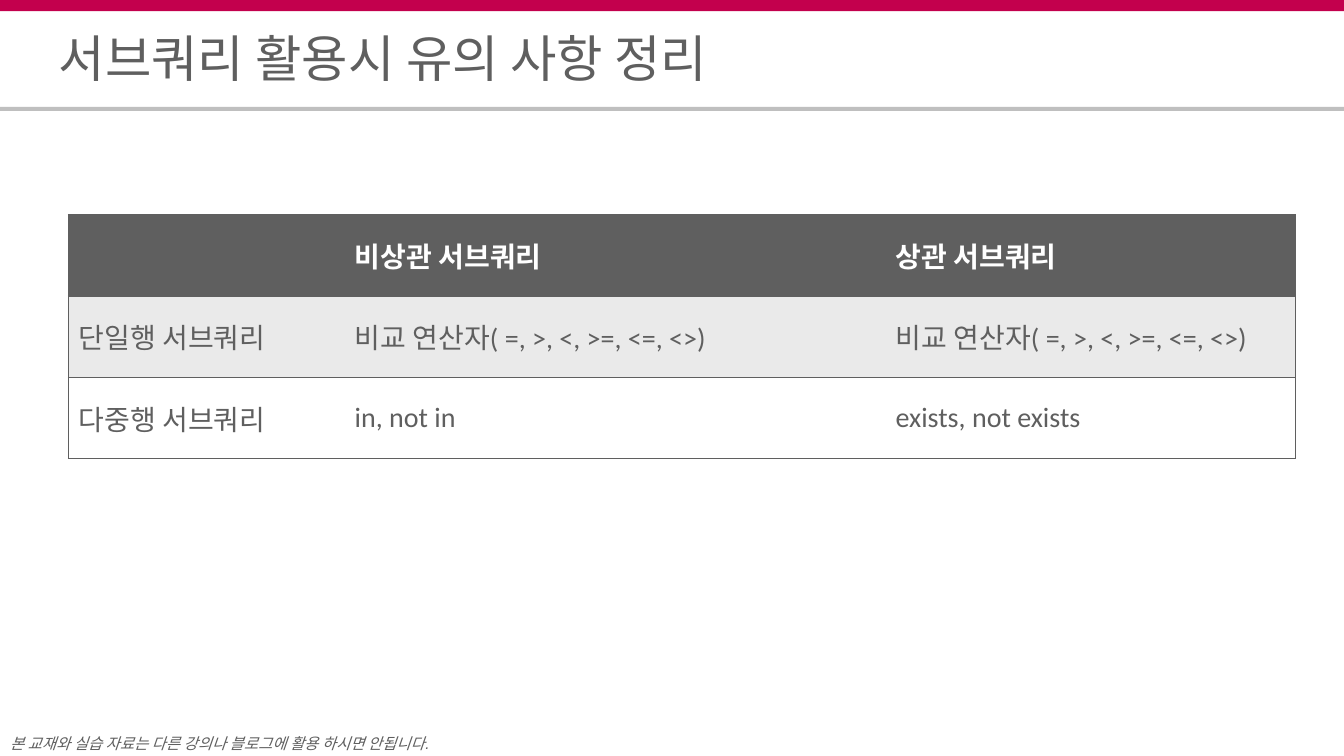
import dataclasses

import lxml.etree
import pptx
import pptx.dml.color
import pptx.enum.shapes
import pptx.enum.text
import pptx.oxml.ns
import pptx.util

MIDDLE = pptx.enum.text.MSO_ANCHOR.MIDDLE


@dataclasses.dataclass(frozen=True)
class Theme:
    accent: str = "C3004D"
    rule: str = "BFBFBF"
    ink: str = "5F5F5F"
    band: str = "EAEAEA"
    paper: str = "FFFFFF"
    font: str = "Calibri"
    note_font: str = "Arial"
    title_size: int = 36
    table_size: int = 20
    note_size: int = 11
    border: int = 1


THEME = Theme()
GRID_COLUMNS, GRID_ROWS = 160, 90
SLIDE_WIDTH, SLIDE_HEIGHT = pptx.util.Inches(13.33), pptx.util.Inches(7.5)

# Boxes are left, top, width, height in grid columns and rows.
TOP_BAR = (0, 0, 160, 1.32)
TITLE_RULE = (0, 12.72, 160, 0.48)
TITLE_BOX = (7, 4, 146, 7)
TABLE_BOX = (8.16, 25.56, 146.04, 29.04)
NOTE_BOX = (1.2, 86.28, 57.72, 3.72)
TABLE_SHARES = (0.225, 0.441, 0.334)

COMPARISON = "비교 연산자( =, >, <, >=, <=, <>)"
TABLE_ROWS = (
    ("", "비상관 서브쿼리", "상관 서브쿼리"),
    ("단일행 서브쿼리", COMPARISON, COMPARISON),
    ("다중행 서브쿼리", "in, not in", "exists, not exists"),
)
ROW_FILLS = (THEME.ink, THEME.band, THEME.paper)


def rgb(color):
    return pptx.dml.color.RGBColor.from_string(color)


def emu(box):
    units = (SLIDE_WIDTH / GRID_COLUMNS, SLIDE_HEIGHT / GRID_ROWS) * 2
    return [round(length * unit) for length, unit in zip(box, units)]


def set_attributes(target, values):
    for name, value in values.items():
        setattr(target, name, value)


def write(tf, text, size, color, line_spacing=None, **font):
    """Put one formatted paragraph into a text frame."""
    p = tf.paragraphs[0]
    p.line_spacing = line_spacing
    r = p.add_run()
    r.text = text
    set_attributes(r.font, {"name": THEME.font, "size": pptx.util.Pt(size), **font})
    r.font.color.rgb = rgb(color)


def clear_margins(tf):
    set_attributes(tf, {
        "margin_left": 0, "margin_top": 0, "margin_right": 0, "margin_bottom": 0,
        "word_wrap": True, "auto_size": pptx.enum.text.MSO_AUTO_SIZE.NONE,
    })


def add_band(slide, box, color):
    sp = slide.shapes.add_shape(pptx.enum.shapes.MSO_SHAPE.RECTANGLE, *emu(box))
    sp.shadow.inherit = False
    sp.fill.solid()
    sp.fill.fore_color.rgb = rgb(color)
    sp.line.fill.background()


def add_title(slide, box, text):
    sp = slide.shapes.title
    set_attributes(sp, dict(zip(("left", "top", "width", "height"), emu(box))))
    tf = sp.text_frame
    clear_margins(tf)
    tf.vertical_anchor = MIDDLE
    write(tf, text, THEME.title_size, THEME.ink, 0.8)
    tf.paragraphs[0].alignment = pptx.enum.text.PP_ALIGN.LEFT


def add_note(slide, box, text):
    tf = slide.shapes.add_textbox(*emu(box)).text_frame
    clear_margins(tf)
    write(tf, text, THEME.note_size, THEME.ink, 1.5, name=THEME.note_font, italic=True)


def set_borders(cell, visible):
    """Draw the visible sides of a cell (letters of LRTB) and blank the others."""
    qn = pptx.oxml.ns.qn
    tc_pr = cell._tc.get_or_add_tcPr()
    for side in "LRTB":
        ln = lxml.etree.SubElement(tc_pr, qn(f"a:ln{side}"))
        if side in visible:
            ln.set("w", str(pptx.util.Pt(THEME.border)))
            fill = lxml.etree.SubElement(ln, qn("a:solidFill"))
            lxml.etree.SubElement(fill, qn("a:srgbClr"), val=THEME.ink)
        else:
            lxml.etree.SubElement(ln, qn("a:noFill"))


def add_comparison_table(slide, box, rows):
    left, top, width, height = emu(box)
    last = len(TABLE_SHARES) - 1
    table = slide.shapes.add_table(
        len(rows), len(TABLE_SHARES), left, top, width, height).table
    for column, share in zip(table.columns, TABLE_SHARES):
        column.width = round(width * share)
    for i, (texts, fill) in enumerate(zip(rows, ROW_FILLS)):
        header = i == 0
        for j, text in enumerate(texts):
            cell = table.cell(i, j)
            set_borders(cell, "TB" + "L" * (j == 0) + "R" * (j == last))
            cell.fill.solid()
            cell.fill.fore_color.rgb = rgb(fill)
            cell.vertical_anchor = MIDDLE
            if text:
                write(cell.text_frame, text, THEME.table_size,
                      THEME.paper if header else THEME.ink, bold=header)


def main():
    prs = pptx.Presentation()
    set_attributes(prs, {"slide_width": SLIDE_WIDTH, "slide_height": SLIDE_HEIGHT})
    slide = prs.slides.add_slide(prs.slide_layouts.get_by_name("Title Only"))
    add_band(slide, TOP_BAR, THEME.accent)
    add_band(slide, TITLE_RULE, THEME.rule)
    add_note(slide, NOTE_BOX, "본 교재와 실습 자료는 다른 강의나 블로그에 활용 하시면 안됩니다.")
    add_title(slide, TITLE_BOX, "서브쿼리 활용시 유의 사항 정리")
    add_comparison_table(slide, TABLE_BOX, TABLE_ROWS)
    prs.save("out.pptx")


if __name__ == "__main__":
    main()
